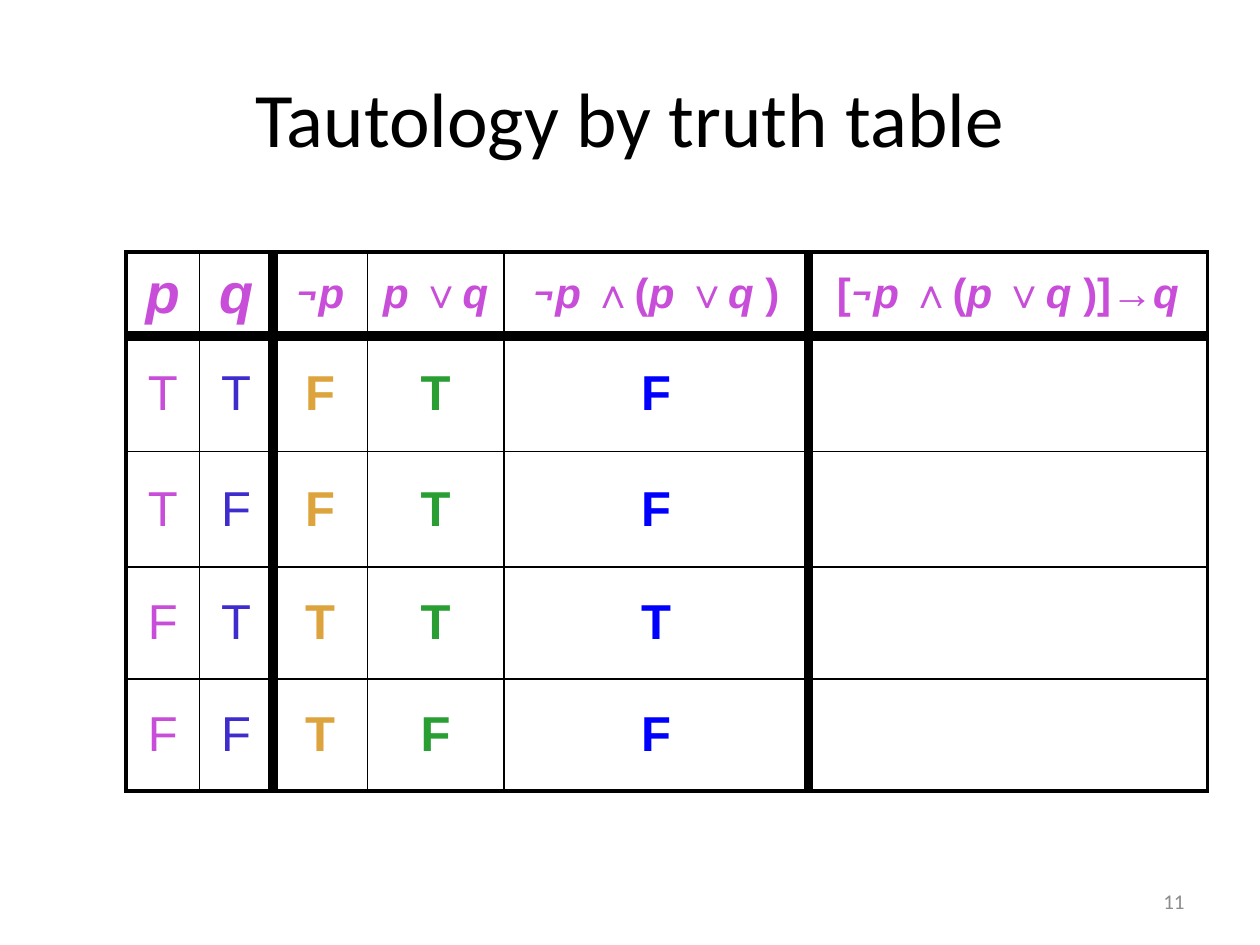
from lxml import etree
from pptx import Presentation
from pptx import util as u
from pptx.dml import color
from pptx.enum import text
from pptx.oxml import ns

C = {"black": "000000", "grey": "8C8C8C", "violet": "C84DD9", "indigo": "3F2CCC",
     "amber": "DDA43D", "green": "289E33", "blue": "0000FF"}


def write(tf, words, font="Arial", size=28, fill="black", bold=False,
          align=text.PP_ALIGN.CENTER):
    """Write one paragraph; "|" separates runs, and p, q and ¬ are variables in bold italic."""
    p = tf.paragraphs[0]
    p.alignment = align
    for part in words.split("|"):
        r = p.add_run()
        r.text = part
        r.font.name = "Roboto" if part == "¬" else font
        r.font.size = u.Pt(size)
        r.font.bold = bold
        r.font.italic = part[0] in "pq¬"
        r.font.color.rgb = color.RGBColor.from_string(C[fill])


def add_border(cell, pos, side, width):
    ln = etree.Element(ns.qn(f"a:ln{side}"), w=str(u.Pt(width)))
    fill = etree.SubElement(ln, ns.qn("a:solidFill"))
    etree.SubElement(fill, ns.qn("a:srgbClr"), val=C["black"])
    cell._tc.get_or_add_tcPr().insert(pos, ln)


prs = Presentation()
prs.slide_width, prs.slide_height = u.Pt(720), u.Pt(540)
s = prs.slides.add_slide(prs.slide_layouts[6])

# Title and page number
for words, box, fmt in [
    ("Tautology by truth table", (36, 21.6, 648, 90), dict(size=44)),
    ("11", (516, 500.5, 168, 28.75),
     dict(size=12, fill="grey", align=text.PP_ALIGN.RIGHT)),
]:
    tf = s.shapes.add_textbox(*map(u.Pt, box)).text_frame
    tf.word_wrap = True
    tf.vertical_anchor = text.MSO_ANCHOR.MIDDLE
    write(tf, words, font="Calibri", **fmt)

# Truth table: contents
heads = ["p", "q", "¬|p", "p |∨|q", "¬|p |∧(|p |∨|q |)",
         "[|¬|p |∧(|p |∨|q |)]→|q"]
values = ["TTFTF", "TFFTF", "FTTTT", "FFTFF"]
value_fills = ["violet", "indigo", "amber", "green", "blue"]
widths = [42, 42, 54, 78, 174, 228]
heights = [48, 66, 66, 64, 64]

# Rule widths, from the outer edge inwards and out again
v_rules = [2.25, 1, 6, 1, 1, 6, 2.25]
h_rules = [2.25, 6, 0.25, 1, 1, 2.25]

table = s.shapes.add_table(len(heights), len(widths), u.Pt(72), u.Pt(144),
                           u.Pt(sum(widths)), u.Pt(sum(heights))).table
for col, width in zip(table.columns, widths):
    col.width = u.Pt(width)
for row, height in zip(table.rows, heights):
    row.height = u.Pt(height)

for i in range(len(heights)):
    for j in range(len(widths)):
        cell = table.cell(i, j)
        cell.fill.background()
        cell.vertical_anchor = text.MSO_ANCHOR.MIDDLE
        rules = zip("LRTB", (v_rules[j], v_rules[j + 1], h_rules[i], h_rules[i + 1]))
        for pos, (side, width) in enumerate(rules):
            add_border(cell, pos, side, width)
        if i == 0:
            write(cell.text_frame, heads[j], size=32 if j < 2 else 24,
                  fill="violet", bold=True)
        elif j < len(value_fills):
            write(cell.text_frame, values[i - 1][j], fill=value_fills[j], bold=j >= 2)

prs.save("out.pptx")
